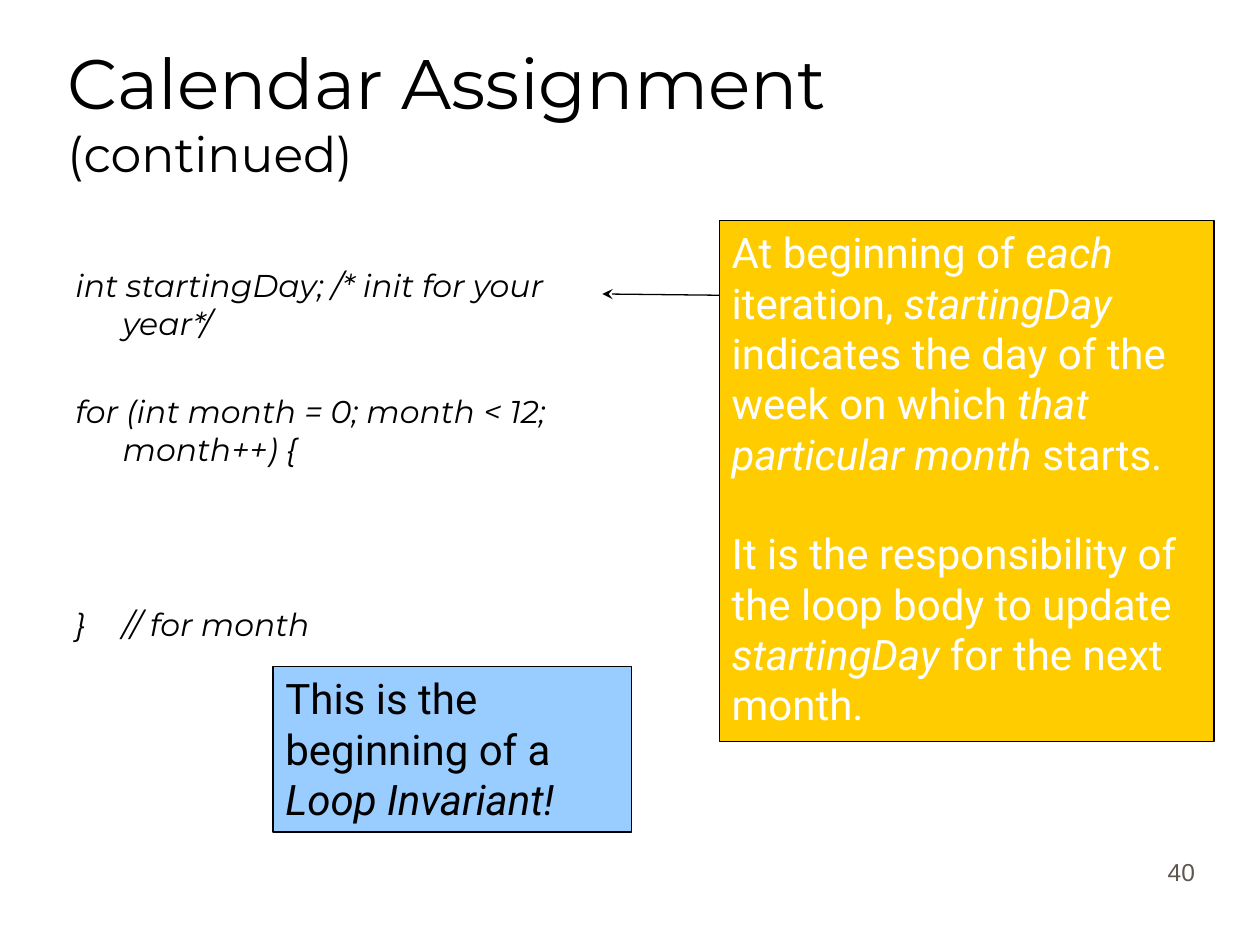
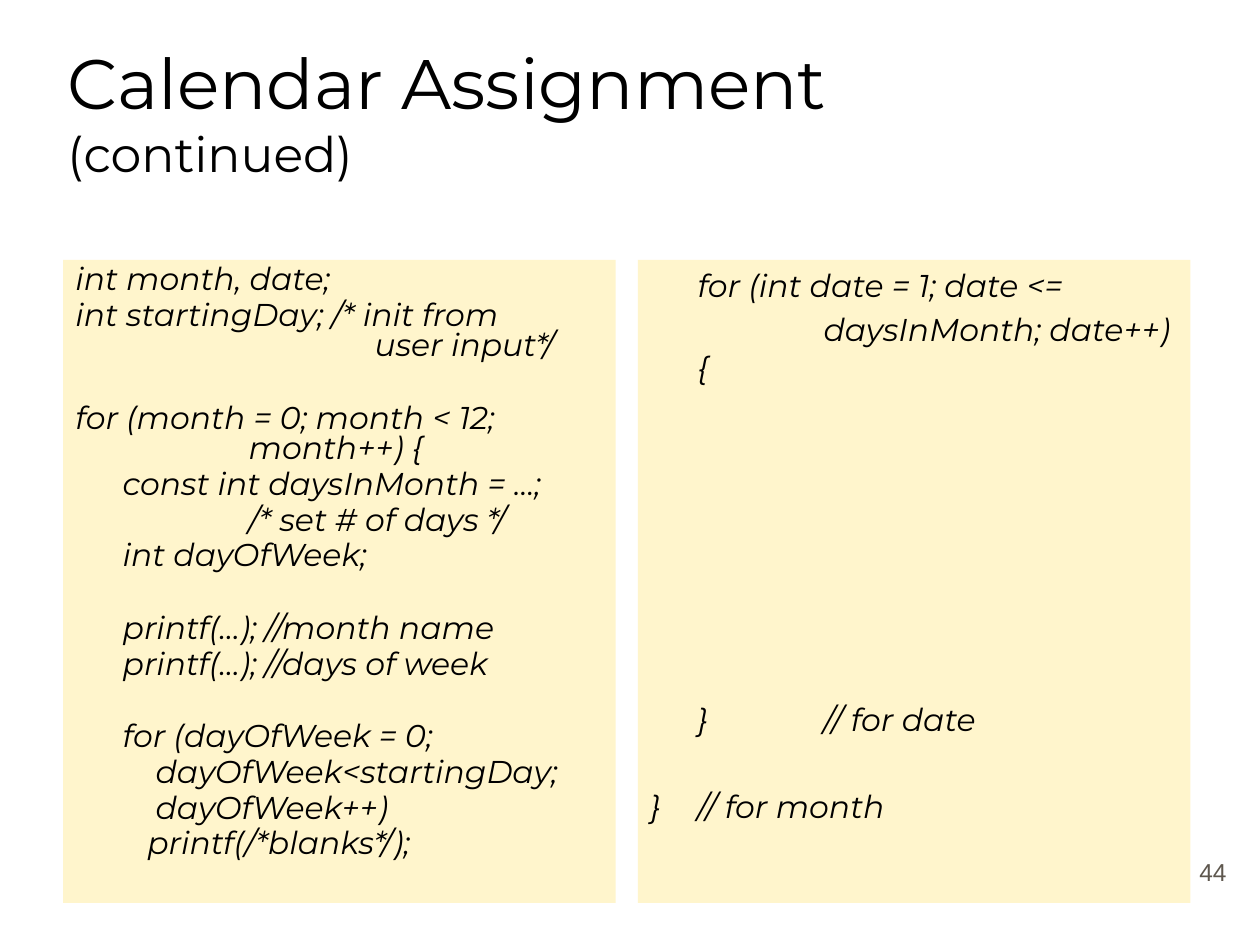
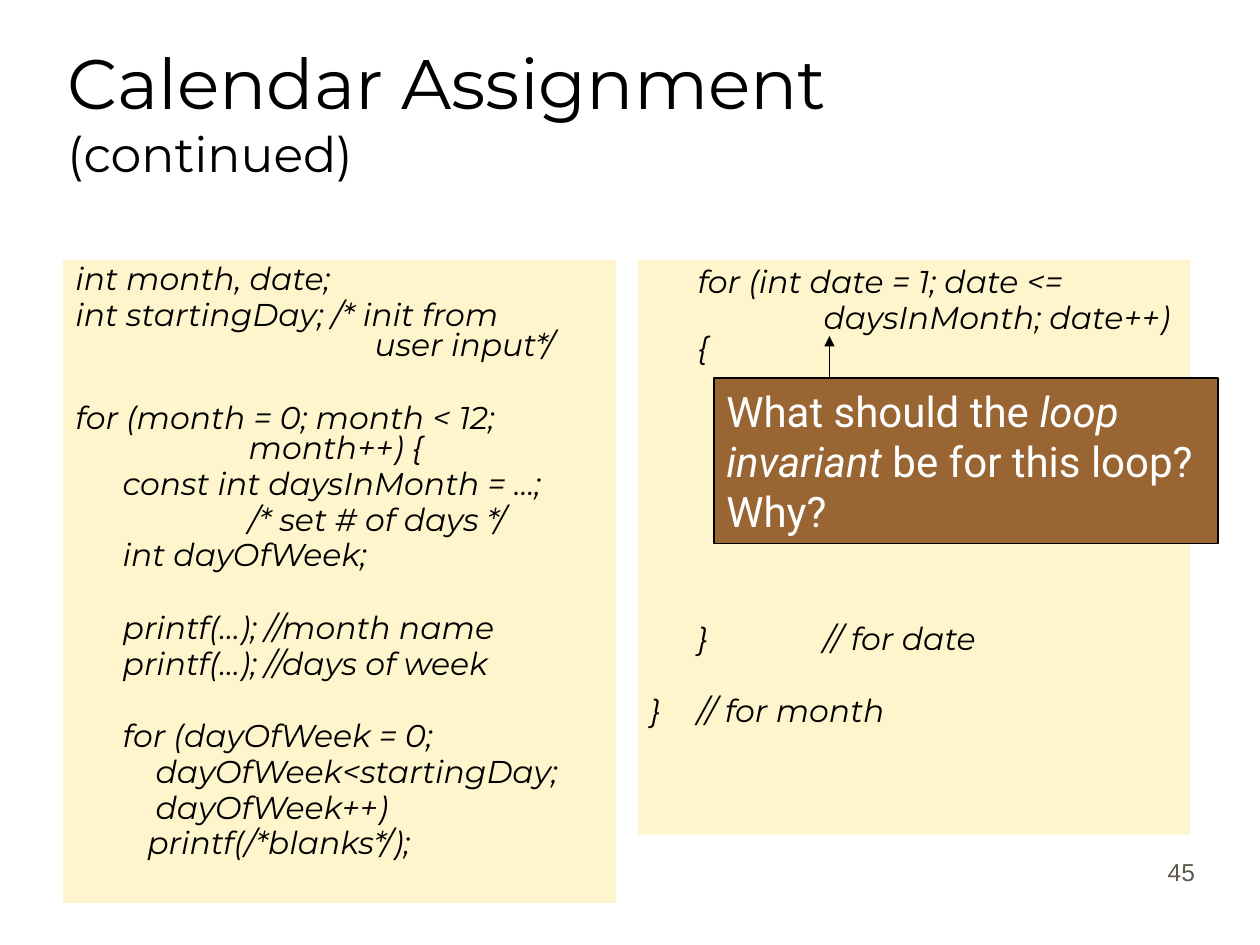
from dataclasses import dataclass

from lxml.etree import SubElement
from pptx import Presentation
from pptx.dml.color import RGBColor
from pptx.enum.shapes import MSO_CONNECTOR, MSO_SHAPE
from pptx.enum.text import MSO_ANCHOR, MSO_AUTO_SIZE, PP_ALIGN
from pptx.oxml.ns import qn
from pptx.util import Emu, Pt


@dataclass(frozen=True)
class Theme:
    ink: RGBColor = RGBColor.from_string("000000")
    paper: RGBColor = RGBColor.from_string("FFFFFF")
    number: RGBColor = RGBColor.from_string("5E574E")
    cream: RGBColor = RGBColor.from_string("FFF5CC")
    amber: RGBColor = RGBColor.from_string("FFCC00")
    sky: RGBColor = RGBColor.from_string("99CCFF")
    brown: RGBColor = RGBColor.from_string("996633")
    code_font: str = "Montserrat"
    callout_font: str = "Roboto"
    number_font: str = "Arial"
    title_size: Pt = Pt(40)
    subtitle_size: Pt = Pt(28)
    callout_size: Pt = Pt(24)
    code_size: Pt = Pt(18)
    number_size: Pt = Pt(14)
    rule: Pt = Pt(0.75)


theme = Theme()
PX = 9525
CODE_INDENT = 36 * PX
CODE_TAB = 96 * PX
CODE_LINE = 22
CODE_GAP = 3.2
CALLOUT_LINE = 28


def add_box(page, place, fill=None, line=None):
    box = page.shapes.add_shape(MSO_SHAPE.RECTANGLE, *(Emu(n * PX) for n in place))
    box.shadow.inherit = False
    if fill is None:
        box.fill.background()
    else:
        box.fill.solid()
        box.fill.fore_color.rgb = fill
    if line is None:
        box.line.fill.background()
    else:
        box.line.color.rgb = line
        box.line.width = theme.rule
    box.text_frame.word_wrap = True
    box.text_frame.vertical_anchor = MSO_ANCHOR.TOP
    return box


def style(para, font, size, color, italic=False, align=PP_ALIGN.LEFT):
    para.alignment = align
    para.font.name = font
    para.font.size = size
    para.font.color.rgb = color
    para.font.italic = italic


startup_code = [
    (0, "int startingDay; /* init for your year*/"),
    (1, "for (int month = 0; month < 12; month++) {"),
    (3, "}\t// for month"),
]
month_code = [
    (0, "int month, date;"),
    (0, "int startingDay; /* init from \v\t\tuser input*/"),
    (1, "for (month = 0; month < 12;\v\tmonth++) {"),
    (0, "\tconst int daysInMonth = …;"),
    (0, "\t\t/* set # of days */"),
    (0, "\tint dayOfWeek;"),
    (1, "\tprintf(…); //month name"),
    (0, "\tprintf(…); //days of week"),
    (1, "\tfor (dayOfWeek = 0;"),
    (0, "\t    dayOfWeek<startingDay;"),
    (0, "\t    dayOfWeek++)"),
    (0, "\t   printf(/*blanks*/);"),
]
date_code = [
    (0, "\tfor (int date = 1; date <="),
    (0, "\t\tdaysInMonth; date++){"),
    (7, "\t}\t// for date"),
    (1, "}\t// for month"),
]

left_tall = (48, 198, 421, 490)
pages = [
    {
        "number": ("40", 200),
        "code": [((48, 198, 421, 438), None, 1, 5, startup_code)],
        "arrow": ((553, 225), (459, 224), "stealth"),
        "callouts": [
            ((548, 168, 377, 397), theme.amber, theme.paper, MSO_ANCHOR.TOP, CALLOUT_LINE, [
                "At beginning of _each_ iteration, _startingDay_ indicates "
                "the day of the week on which _that particular month_ starts.",
                "It is the responsibility of the loop body to update "
                "_startingDay_ for the next month.",
            ]),
            ((208, 508, 273, 126), theme.sky, theme.ink, MSO_ANCHOR.TOP, 0, [
                "This is the beginning of a _Loop Invariant!_",
            ]),
        ],
    },
    {
        "number": ("44", 224),
        "code": [
            (left_tall, theme.cream, 0.8, 5, month_code),
            ((486, 198, 421, 490), theme.cream, 1, 5, date_code),
        ],
        "arrow": None,
        "callouts": [],
    },
    {
        "number": ("45", 200),
        "code": [
            (left_tall, theme.cream, 0.8, 5, month_code),
            ((486, 198, 421, 438), theme.cream, 0.8, 7, date_code),
        ],
        "arrow": ((632, 288), (632, 256), "triangle"),
        "callouts": [
            ((544, 288, 384, 126), theme.brown, theme.paper, MSO_ANCHOR.MIDDLE, 0, [
                "What should the _loop invariant_ be for this loop?",
                "Why?",
            ]),
        ],
    },
]

deck = Presentation()
deck.slide_width = Emu(960 * PX)
deck.slide_height = Emu(720 * PX)

for content in pages:
    page = deck.slides.add_slide(deck.slide_layouts[6])

    title = add_box(page, (42, 24, 816, 120))
    title.text_frame.vertical_anchor = MSO_ANCHOR.BOTTOM
    para = title.text_frame.paragraphs[0]
    style(para, theme.code_font, theme.title_size, theme.ink)
    for text, size in (
        ("Calendar Assignment ", theme.title_size),
        ("(continued)", theme.subtitle_size),
    ):
        span = para.add_run()
        span.text = text
        span.font.size = size

    for place, fill, spacing, inset, lines in content["code"]:
        box = add_box(page, place, fill)
        frame = box.text_frame
        frame.margin_top = Emu(inset * PX)
        for index, (blanks, text) in enumerate(lines):
            para = frame.add_paragraph() if index else frame.paragraphs[0]
            para.text = text
            properties = para._p.get_or_add_pPr()
            properties.set("marL", str(CODE_INDENT))
            properties.set("indent", str(-CODE_INDENT))
            properties.set("defTabSz", str(CODE_TAB))
            para.line_spacing = spacing
            if index:
                gap = CODE_GAP + blanks * (CODE_LINE * spacing + CODE_GAP)
                para.space_before = Pt(gap)
            style(para, theme.code_font, theme.code_size, theme.ink, italic=True)

    if content["arrow"]:
        start, end, head = content["arrow"]
        arrow = page.shapes.add_connector(
            MSO_CONNECTOR.STRAIGHT, *(Emu(n * PX) for n in start + end)
        )
        arrow.line.color.rgb = theme.ink
        arrow.line.width = theme.rule
        SubElement(arrow.line._get_or_add_ln(), qn("a:tailEnd"), type=head)
        SubElement(arrow._element.spPr, qn("a:effectLst"))

    for place, fill, color, anchor, gap, texts in content["callouts"]:
        box = add_box(page, place, fill, theme.ink)
        frame = box.text_frame
        frame.vertical_anchor = anchor
        frame.auto_size = MSO_AUTO_SIZE.SHAPE_TO_FIT_TEXT
        for index, text in enumerate(texts):
            para = frame.add_paragraph() if index else frame.paragraphs[0]
            style(para, theme.callout_font, theme.callout_size, color)
            if index:
                para.space_before = Pt(gap)
            for position, piece in enumerate(text.split("_")):
                if piece:
                    span = para.add_run()
                    span.text = piece
                    span.font.italic = position % 2 == 1

    number, width = content["number"]
    box = add_box(page, (720, 632, width, 48))
    box.text_frame.vertical_anchor = MSO_ANCHOR.BOTTOM
    para = box.text_frame.paragraphs[0]
    para.text = number
    style(para, theme.number_font, theme.number_size, theme.number, align=PP_ALIGN.RIGHT)

deck.save("out.pptx")
